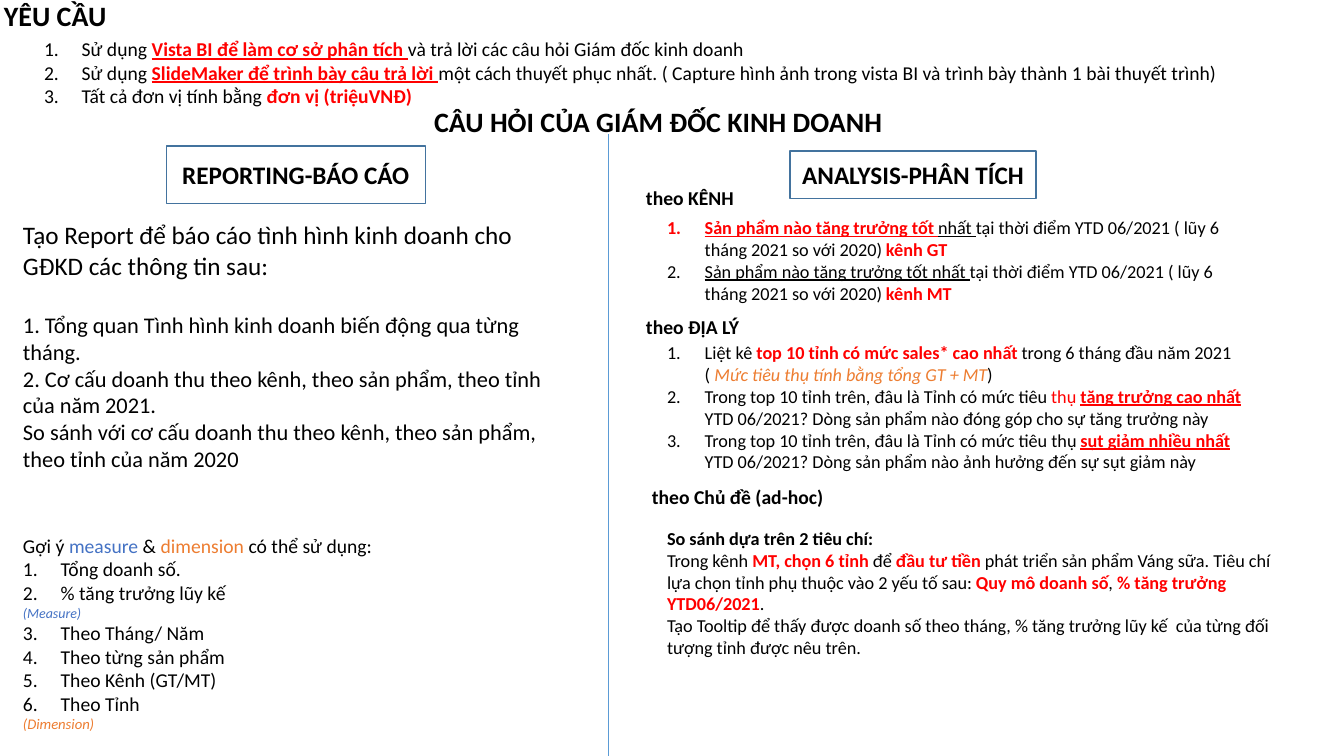
from lxml import etree
from pptx import Presentation
from pptx import util as u
from pptx.dml.color import RGBColor
from pptx.enum import shapes, text
from pptx.oxml.ns import qn

COLORS = {"black": "000000", "red": "FF0000", "orange": "ED7D31",
          "blue": "4472C4", "border": "43739E", "divider": "5B9BD5"}
STYLES = {
    "plain": {},
    "title": {"bold": True},
    "under": {"underline": True},
    "red": {"color": "red"},
    "key": {"color": "red", "bold": True},
    "focus": {"color": "red", "bold": True, "underline": True},
    "measure": {"color": "blue"},
    "dimension": {"color": "orange"},
    "measure_note": {"color": "blue", "italic": True},
    "dimension_note": {"color": "orange", "italic": True},
}


def para(*runs, size=13, start=None, before=0):
    return {"runs": [(run, "plain") if isinstance(run, str) else run for run in runs],
            "size": size, "start": start, "before": before}


class Board:
    font = "Calibri"
    indent = u.Cm(0.95)

    def __init__(self, slide):
        self.slide = slide

    def color(self, name):
        return RGBColor.from_string(COLORS[name])

    def number(self, paragraph, start):
        props = paragraph._p.get_or_add_pPr()
        props.set("marL", str(self.indent))
        props.set("indent", str(-self.indent))
        marker = etree.SubElement(props, qn("a:buFont"))
        marker.set("typeface", "+mj-lt")
        scheme = etree.SubElement(props, qn("a:buAutoNum"))
        scheme.set("type", "arabicPeriod")
        if start > 1:
            scheme.set("startAt", str(start))

    def fill_text(self, frame, paragraphs, align=text.PP_ALIGN.LEFT):
        frame.word_wrap = True
        for index, entry in enumerate(paragraphs):
            paragraph = frame.add_paragraph() if index else frame.paragraphs[0]
            paragraph.alignment = align
            paragraph.space_before = u.Pt(entry["before"])
            if entry["start"]:
                self.number(paragraph, entry["start"])
            for words, style in entry["runs"]:
                run = paragraph.add_run()
                run.text = words
                look = {"name": self.font, "size": u.Pt(entry["size"]), "color": "black",
                        "bold": False, **STYLES[style]}
                run.font.color.rgb = self.color(look.pop("color"))
                for key, value in look.items():
                    setattr(run.font, key, value)

    def text(self, left, top, width, height, *paragraphs):
        frame = self.slide.shapes.add_textbox(*map(u.Cm, (left, top, width, height))).text_frame
        frame.auto_size = text.MSO_AUTO_SIZE.SHAPE_TO_FIT_TEXT
        self.fill_text(frame, paragraphs)

    def heading(self, left, top, width, words, size=14):
        self.text(left, top, width, size * 0.06, para((words, "title"), size=size))

    def label(self, left, top, width, height, words):
        box = self.slide.shapes.add_shape(shapes.MSO_SHAPE.RECTANGLE,
                                          *map(u.Cm, (left, top, width, height)))
        box.shadow.inherit = False
        box.fill.background()
        box.line.color.rgb = self.color("border")
        box.line.width = u.Pt(1)
        box.text_frame.vertical_anchor = text.MSO_ANCHOR.MIDDLE
        self.fill_text(box.text_frame, [para((words, "title"), size=18)], text.PP_ALIGN.CENTER)

    def divider(self, x, top, bottom):
        line = self.slide.shapes.add_connector(shapes.MSO_CONNECTOR.STRAIGHT,
                                               *map(u.Cm, (x, top, x, bottom)))
        line.line.color.rgb = self.color("divider")
        line.line.width = u.Pt(0.5)
        etree.SubElement(line._element.spPr, qn("a:effectLst"))


def requirements(board):
    board.heading(-0.15, -0.15, 16.6, "YÊU CẦU", 20)
    board.text(
        0.86, 0.81, 31.67, 2.06,
        para("Sử dụng ", ("Vista BI để làm cơ sở phân tích ", "focus"),
             "và trả lời các câu hỏi Giám đốc kinh doanh", size=14, start=1),
        para("Sử dụng ", ("SlideMaker để trình bày câu trả lời ", "focus"),
             "một cách thuyết phục nhất. ( Capture hình ảnh trong vista BI "
             "và trình bày thành 1 bài thuyết trình)", size=14, start=1),
        para("Tất cả đơn vị tính bằng ", ("đơn vị (triệuVNĐ)", "key"), size=14, start=1))
    board.heading(10.69, 2.51, 16.6, "CÂU HỎI CỦA GIÁM ĐỐC KINH DOANH", 20)


def reporting(board):
    board.label(4.19, 3.68, 6.53, 1.45, "REPORTING-BÁO CÁO")
    measures = ["Tổng doanh số.", "% tăng trưởng lũy kế"]
    dimensions = ["Theo Tháng/ Năm", "Theo từng sản phẩm", "Theo Kênh (GT/MT)", "Theo Tỉnh"]
    board.text(
        0.33, 5.41, 14.25, 13.3,
        para("Tạo Report để báo cáo tình hình kinh doanh cho GĐKD các thông tin sau:", size=18),
        para("1. Tổng quan Tình hình kinh doanh biến động qua từng tháng.", size=16, before=22),
        para("2. Cơ cấu doanh thu theo kênh, theo sản phẩm, theo tỉnh của năm 2021.", size=16),
        para("So sánh với cơ cấu doanh thu theo kênh, theo sản phẩm, theo tỉnh của năm 2020",
             size=16),
        para("Gợi ý ", ("measure", "measure"), " & ", ("dimension ", "dimension"),
             "có thể sử dụng:", size=14, before=44),
        *[para(item, size=14, start=1) for item in measures],
        para(("(Measure)", "measure_note"), size=10),
        *[para(item, size=14, start=len(measures) + 1) for item in dimensions],
        para(("(Dimension)", "dimension_note"), size=10.5))


def analysis(board):
    board.label(19.91, 3.81, 6.2, 1.19, "ANALYSIS-PHÂN TÍCH")
    period = "tại thời điểm YTD 06/2021 ( lũy 6 tháng 2021 so với 2020) "
    province = "Trong top 10 tỉnh trên, đâu là Tỉnh có mức tiêu "

    board.heading(16.03, 4.57, 12.88, "theo KÊNH")
    board.text(
        16.56, 5.33, 15.16, 2.49,
        para(("Sản phẩm nào tăng trưởng tốt ", "focus"), ("nhất ", "under"),
             period, ("kênh GT", "key"), start=1),
        para(("Sản phẩm nào tăng trưởng tốt nhất ", "under"),
             period, ("kênh MT", "key"), start=1))

    board.heading(16.03, 7.8, 7.65, "theo ĐỊA LÝ")
    board.text(
        16.56, 8.48, 15.16, 3.58,
        para("Liệt kê ", ("top 10 tỉnh có mức sales* cao nhất ", "key"),
             "trong 6 tháng đầu năm 2021 ( ",
             ("Mức tiêu thụ tính bằng tổng GT + MT", "dimension_note"), ")", start=1),
        para(province, ("thụ ", "red"), ("tăng trưởng cao nhất", "focus"), (" ", "red"),
             "YTD 06/2021? Dòng sản phẩm nào đóng góp cho sự tăng trưởng này", start=1),
        para(province + "thụ ", ("sụt giảm nhiều nhất ", "focus"),
             "YTD 06/2021? Dòng sản phẩm nào ảnh hưởng đến sự sụt giảm này", start=1))

    board.heading(16.18, 12.09, 7.65, "theo Chủ đề (ad-hoc)")
    board.text(
        16.56, 13.16, 16.36, 4.14,
        para(("So sánh dựa trên 2 tiêu chí:", "title")),
        para("Trong kênh ", ("MT, chọn 6 tỉnh ", "key"), "để ", ("đầu tư tiền ", "key"),
             "phát triển sản phẩm Váng sữa. Tiêu chí lựa chọn tỉnh phụ thuộc vào 2 yếu tố sau: ",
             ("Quy mô doanh số", "key"), ", ", ("% tăng trưởng YTD06/2021", "key"), "."),
        para("Tạo Tooltip để thấy được doanh số theo tháng, % tăng trưởng lũy kế  "
             "của từng đối tượng tỉnh được nêu trên."))


def main():
    deck = Presentation()
    deck.slide_width, deck.slide_height = u.Cm(33.87), u.Cm(19.05)
    board = Board(deck.slides.add_slide(deck.slide_layouts[6]))
    requirements(board)
    board.divider(15.32, 3.38, 19.05)
    reporting(board)
    analysis(board)
    deck.save("out.pptx")


if __name__ == "__main__":
    main()
